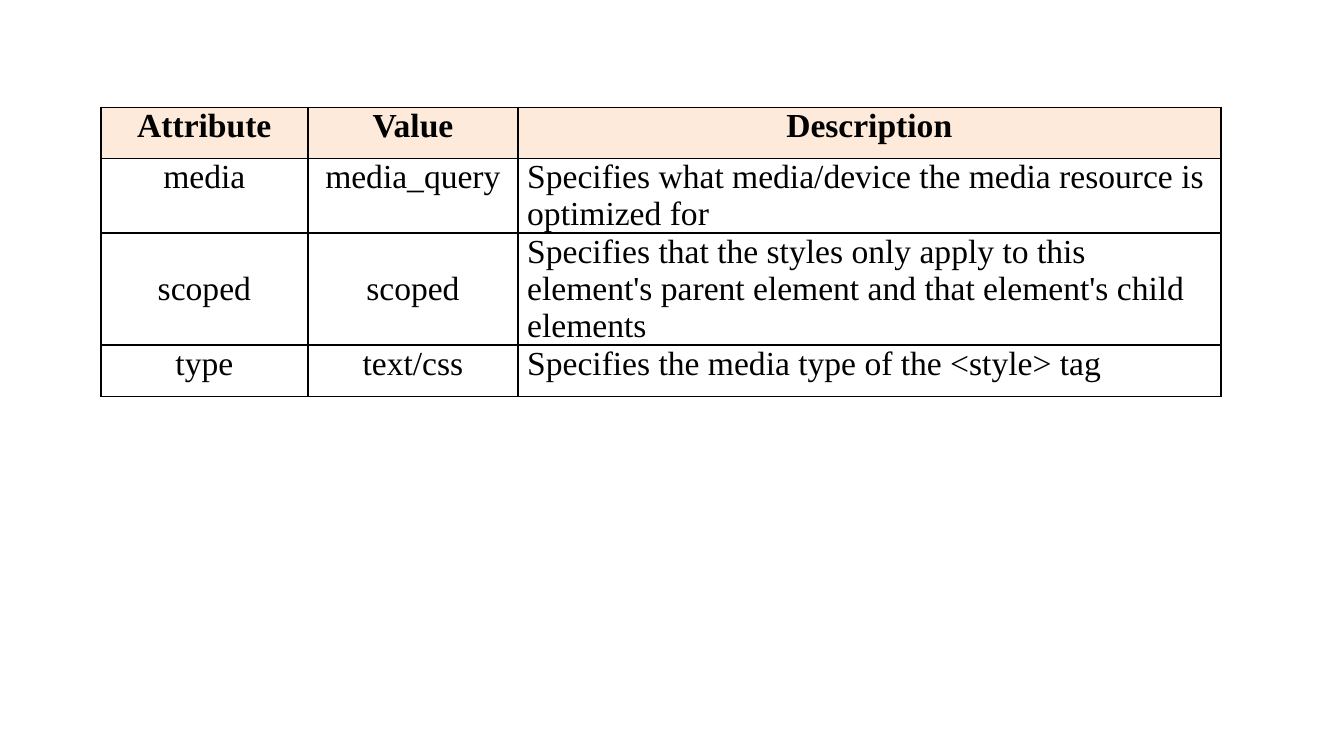
from lxml.etree import SubElement
from pptx import Presentation
from pptx.dml.color import RGBColor
from pptx.enum.text import MSO_VERTICAL_ANCHOR as Anchor, PP_PARAGRAPH_ALIGNMENT as Align
from pptx.oxml.ns import qn
from pptx.util import Pt

BLACK = RGBColor(0x00, 0x00, 0x00)
PEACH = RGBColor(0xFD, 0xEA, 0xDA)

COLUMN_WIDTHS = [111, 112.5, 376.5]
ROW_HEIGHTS = [27.5, 40, 60, 27.5]
ATTRIBUTES = [
    ["Attribute", "Value", "Description"],
    ["media", "media_query",
     "Specifies what media/device the media resource is optimized for"],
    ["scoped", "scoped",
     "Specifies that the styles only apply to this element's parent element "
     "and that element's child elements"],
    ["type", "text/css", "Specifies the media type of the <style> tag"],
]
SCOPED_ROW = 2
DESCRIPTION_COLUMN = 2


class SlideWriter:
    font = "Times New Roman"
    size = 18
    margin = 5
    border = 1

    def __init__(self, page):
        self.page = page

    def table(self, left, top, rows, widths, heights):
        frame = self.page.shapes.add_table(
            len(rows), len(widths), Pt(left), Pt(top), Pt(sum(widths)), Pt(sum(heights)))
        table = frame.table
        table.horz_banding = False
        for column, width in zip(table.columns, widths):
            column.width = Pt(width)
        for row, height in zip(table.rows, heights):
            row.height = Pt(height)
        for r, texts in enumerate(rows):
            for c, text in enumerate(texts):
                header = r == 0
                centred = header or c != DESCRIPTION_COLUMN
                cell = table.cell(r, c)
                self.cell_text(cell, text, header, Align.CENTER if centred else Align.LEFT)
                cell.vertical_anchor = Anchor.MIDDLE if r == SCOPED_ROW else Anchor.TOP
                self.cell_borders(cell)
                self.cell_fill(cell, PEACH if header else None)

    def cell_text(self, cell, text, bold, align):
        cell.margin_left = cell.margin_right = Pt(self.margin)
        cell.margin_top = cell.margin_bottom = 0
        para = cell.text_frame.paragraphs[0]
        para.alignment = align
        span = para.add_run()
        span.text = text
        span.font.name = self.font
        span.font.size = Pt(self.size)
        span.font.bold = bold
        span.font.color.rgb = BLACK

    def cell_borders(self, cell):
        properties = cell._tc.get_or_add_tcPr()
        for side in ("a:lnL", "a:lnR", "a:lnT", "a:lnB"):
            line = SubElement(properties, qn(side), w=str(Pt(self.border)))
            fill = SubElement(line, qn("a:solidFill"))
            SubElement(fill, qn("a:srgbClr"), val=str(BLACK))

    def cell_fill(self, cell, color):
        if color is None:
            cell.fill.background()
        else:
            cell.fill.solid()
            cell.fill.fore_color.rgb = color


def main():
    deck = Presentation()
    deck.slide_width, deck.slide_height = Pt(720), Pt(405)
    blank_layout = deck.slide_layouts[6]
    writer = SlideWriter(deck.slides.add_slide(blank_layout))
    writer.table(54, 57.5, ATTRIBUTES, COLUMN_WIDTHS, ROW_HEIGHTS)
    deck.save("out.pptx")


if __name__ == "__main__":
    main()
